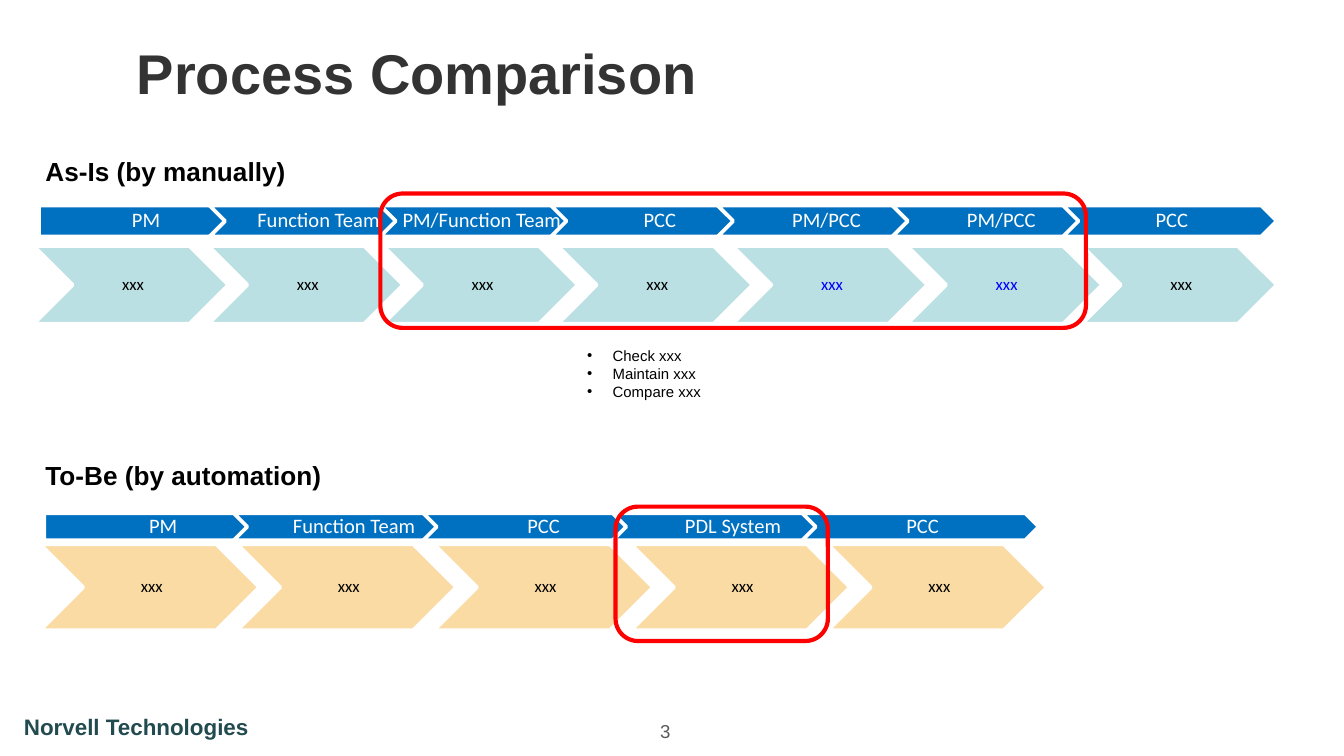
from lxml import etree
from pptx import Presentation
from pptx.dml.color import RGBColor
from pptx.enum.shapes import MSO_SHAPE
from pptx.enum.text import MSO_ANCHOR, PP_ALIGN
from pptx.oxml.ns import qn
from pptx.util import Inches, Pt

SLIDE_WIDTH, SLIDE_HEIGHT = 10, 10 * 9 / 16
BLUE, WHITE, BLACK, RED, LINK_BLUE = "0070C0", "FFFFFF", "000000", "FF0000", "0000FF"
FIRST_OWNER_INSETS = (0.08, 0.03, 0.02, 0.03)
OWNER_INSETS = (0.05, 0.03, 0.02, 0.03)
TASK_INSETS = (0.04, 0.01, 0.01, 0.01)

TITLE = ("Process Comparison", (0.92, 0.23, 8.67, 0.61), 30, "333333", True)
LABELS = [
    ("Norvell Technologies", (0.08, 5.26, 2.07, 0.3), 12, "224B50", True),
    ("As-Is (by manually)", (0.24, 1.11, 2, 0.34), 14, BLACK, True),
    ("To-Be (by automation)", (0.24, 3.37, 2.26, 0.34), 14, BLACK, True),
]
PAGE_NUMBER = ("3", (4.66, 5.31, 0.58, 0.31), 10, "595959", False)
CHECKS = ("Check xxx\nMaintain xxx\nCompare xxx", (4.27, 2.53, 1.96, 0.64), 8, BLACK, False)

PROCESSES = [
    {
        "owners": ["PM", "Function Team", "PM/Function Team", "PCC", "PM/PCC", "PM/PCC", "PCC"],
        "tasks": ["xxx"] * 7,
        "blue_tasks": (4, 5),
        "left_aligned": (2,),
        "nudges": {4: -0.03},
        "owner_row": (0.29, 7.91, 1.53, 1.59, 0.23),
        "task_row": (0.25, 8.05, 1.83, 1.45, 0.58),
        "task_fill": "BBE0E3",
        "highlight": (2.83, 1.44, 5.25, 1),
    },
    {
        "owners": ["PM", "Function Team", "PCC", "PDL System", "PCC"],
        "tasks": ["xxx"] * 5,
        "blue_tasks": (),
        "left_aligned": (),
        "nudges": {},
        "owner_row": (0.33, 5.97, 3.82, 1.76, 0.2),
        "task_row": (0.3, 6.16, 4.05, 1.63, 0.64),
        "task_fill": "FADBA4",
        "highlight": (4.58, 3.77, 1.58, 1),
    },
]


def rgb(value):
    return RGBColor.from_string(value)


def style(paragraph, font, size, color, bold=False):
    paragraph.font.name = font
    paragraph.font.size = Pt(size)
    paragraph.font.bold = bold
    paragraph.font.color.rgb = rgb(color)


def add_label(slide, text, box, size, color, bold, wrap=True):
    frame = slide.shapes.add_textbox(*map(Inches, box)).text_frame
    frame.word_wrap = wrap
    frame.text = text
    for paragraph in frame.paragraphs:
        style(paragraph, "Arial", size, color, bold)
    return frame


def add_bullets(frame):
    for paragraph in frame.paragraphs:
        properties = paragraph._p.get_or_add_pPr()
        properties.set("marL", str(Inches(0.19)))
        properties.set("indent", str(-Inches(0.19)))
        properties.insert(0, etree.Element(qn("a:buFont"), typeface="Arial"))
        properties.insert(1, etree.Element(qn("a:buChar"), char="•"))


def add_outlined(slide, preset, box, line, width):
    shape = slide.shapes.add_shape(preset, *map(Inches, box))
    shape.shadow.inherit = False
    shape.line.color.rgb = rgb(line)
    shape.line.width = Pt(width)
    return shape


def add_step(slide, preset, box, fill, text, size, color, insets, align=PP_ALIGN.CENTER):
    step = add_outlined(slide, preset, box, WHITE, 2)
    step.fill.solid()
    step.fill.fore_color.rgb = rgb(fill)
    frame = step.text_frame
    frame.word_wrap = True
    frame.vertical_anchor = MSO_ANCHOR.MIDDLE
    frame.margin_left, frame.margin_top, frame.margin_right, frame.margin_bottom = map(Inches, insets)
    frame.text = text
    paragraph = frame.paragraphs[0]
    paragraph.alignment = align
    paragraph.line_spacing = 0.9
    style(paragraph, "Calibri", size, color)


def row_boxes(count, first, last, top, width, height):
    pitch = (last - first) / (count - 1)
    return [(first + i * pitch, top, width, height) for i in range(count)]


def add_process(slide, process):
    tasks, owners = process["tasks"], process["owners"]
    for i, box in enumerate(row_boxes(len(tasks), *process["task_row"])):
        color = LINK_BLUE if i in process["blue_tasks"] else BLACK
        add_step(slide, MSO_SHAPE.CHEVRON, box, process["task_fill"], tasks[i], 9, color, TASK_INSETS)
    for i, (left, *rest) in enumerate(row_boxes(len(owners), *process["owner_row"])):
        preset = MSO_SHAPE.CHEVRON if i else MSO_SHAPE.PENTAGON
        insets = OWNER_INSETS if i else FIRST_OWNER_INSETS
        align = PP_ALIGN.LEFT if i in process["left_aligned"] else PP_ALIGN.CENTER
        box = (left + process["nudges"].get(i, 0), *rest)
        add_step(slide, preset, box, BLUE, owners[i], 11, WHITE, insets, align)


def main():
    """Build the process comparison slide."""
    deck = Presentation()
    deck.slide_width, deck.slide_height = Inches(SLIDE_WIDTH), Inches(SLIDE_HEIGHT)
    slide = deck.slides.add_slide(deck.slide_layouts[6])
    add_label(slide, *TITLE).vertical_anchor = MSO_ANCHOR.MIDDLE
    for label in LABELS:
        add_label(slide, *label, wrap=False)
    add_label(slide, *PAGE_NUMBER).paragraphs[0].alignment = PP_ALIGN.CENTER
    for process in PROCESSES:
        add_process(slide, process)
    for process in PROCESSES:
        highlight = add_outlined(slide, MSO_SHAPE.ROUNDED_RECTANGLE, process["highlight"], RED, 2.25)
        highlight.fill.background()
    add_bullets(add_label(slide, *CHECKS))
    deck.save("out.pptx")


if __name__ == "__main__":
    main()
